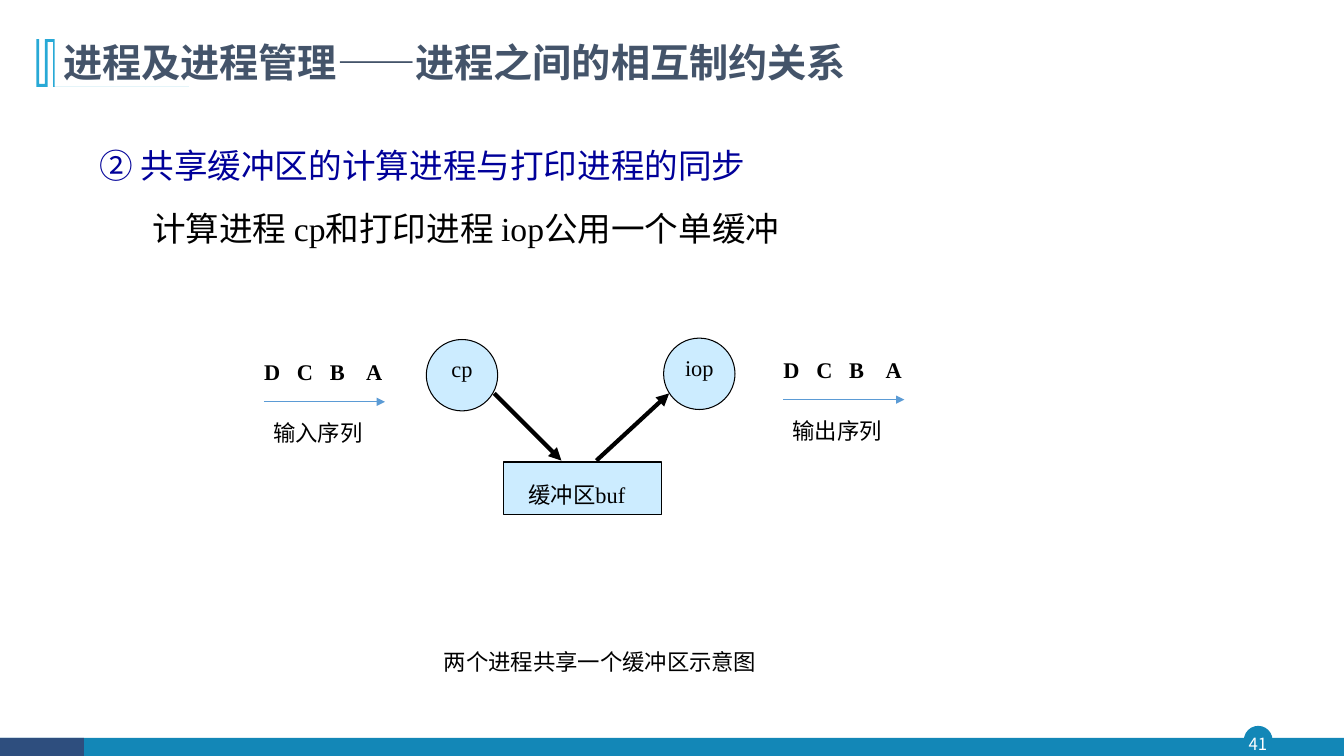
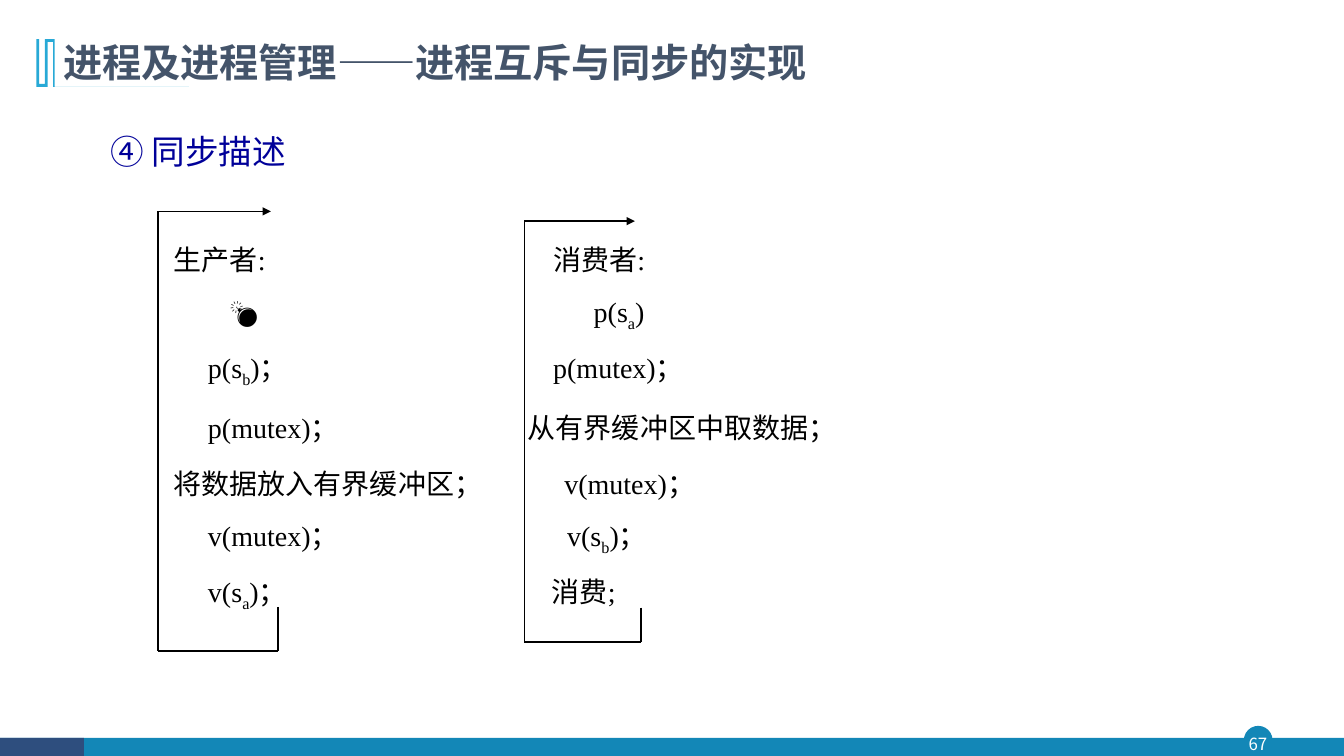
from lxml import etree
from pptx import Presentation
from pptx.dml.color import RGBColor
from pptx.enum.shapes import MSO_CONNECTOR, MSO_SHAPE
from pptx.enum.text import MSO_ANCHOR, PP_ALIGN
from pptx.oxml.ns import qn
from pptx.util import Pt

RECT, OVAL = MSO_SHAPE.RECTANGLE, MSO_SHAPE.OVAL
STRAIGHT = MSO_CONNECTOR.STRAIGHT
LEFT, CENTER = PP_ALIGN.LEFT, PP_ALIGN.CENTER
TOP, MIDDLE = MSO_ANCHOR.TOP, MSO_ANCHOR.MIDDLE

SANS, SERIF = "Noto Sans CJK SC", "Times New Roman"
TEAL, NAVY, CYAN = "1387B7", "2E4E7E", "28A9D6"
TITLE, HEADING, BLACK, WHITE = "44546A", "000099", "000000", "FFFFFF"
NODE, FLOW = "CCECFF", "5B9BD5"
INSETS = (7.2, 3.6, 7.2, 3.6)

ACCENT = [(39, 28), (39, 61.5), (135, 61.5), (135, 62.5), (37.5, 62.5),
          (37.5, 29.5), (34, 29.5), (34, 62.5), (26, 62.5), (26, 28),
          (28, 28), (28, 60.5), (31.5, 60.5), (31.5, 28)]

SHARING = {
    "title": "进程及进程管理——进程之间的相互制约关系",
    "number": "41",
    "heading": "② 共享缓冲区的计算进程与打印进程的同步",
    "body": "计算进程 cp和打印进程 iop公用一个单缓冲",
    "caption": "两个进程共享一个缓冲区示意图",
    "processes": [("iop", 474, 241.5), ("cp", 304.5, 242.5)],
    "buffer": "缓冲区buf",
    "arrows": [[(353, 281), (401, 329)], [(426, 329), (478, 281)]],
    "letters": "DCBA",
    "sequences": [("输入序列", 181.5, 251.5), ("输出序列", 552.5, 250)],
}
LETTER_STOPS = [23.5, 47, 73]

SYNC = {
    "title": "进程及进程管理——进程互斥与同步的实现",
    "number": "67",
    "heading": "④ 同步描述",
    "rows": [
        (45, "生产者:", 316, "消费者:"),
        (85, "💣", 345, "p(s|a|)"),
        (69.5, "p(s|b|)；", 316, "p(mutex)；"),
        (69.5, "p(mutex)；", 298, "从有界缓冲区中取数据；"),
        (45, "将数据放入有界缓冲区；", 324, "v(mutex)；"),
        (69.5, "v(mutex)；", 326, "v(s|b|)；"),
        (69.5, "v(s|a|)；", 315, "消费;"),
    ],
    "loops": [
        [(198.5, 433.5), (198.5, 465), (113, 465), (113, 151), (193.5, 151)],
        [(458, 434), (458, 458.5), (374.5, 458.5), (374.5, 158), (453.5, 158)],
    ],
}


def rgb(color):
    return RGBColor.from_string(color)


def add_run(p, text, size, color, font, bold=False, sub=False):
    r = p.add_run()
    r.text = text
    r.font.size = Pt(size)
    r.font.name = font
    r.font.bold = bold
    r.font.color.rgb = rgb(color)
    rPr = r.font._element
    etree.SubElement(rPr, qn("a:ea")).set("typeface", SANS)
    if sub:
        rPr.set("baseline", "-25000")


def add_paragraph(tf, text, size, line, color=BLACK, font=SERIF, bold=False,
                  align=LEFT, stops=(), first=True):
    p = tf.paragraphs[0] if first else tf.add_paragraph()
    p.alignment = align
    p.line_spacing = Pt(line)
    if stops:
        tabs = etree.SubElement(p._p.get_or_add_pPr(), qn("a:tabLst"))
        for stop in stops:
            tab = etree.SubElement(tabs, qn("a:tab"))
            tab.set("pos", str(int(Pt(stop))))
            tab.set("algn", "l")
    for i, part in enumerate(text.split("|")):
        if part:
            add_run(p, part, size, color, font, bold, sub=i % 2 == 1)


def set_frame(sp, insets=INSETS, anchor=TOP):
    tf = sp.text_frame
    tf.word_wrap = True
    tf.vertical_anchor = anchor
    tf.margin_left, tf.margin_top, tf.margin_right, tf.margin_bottom = map(Pt, insets)
    return tf


def add_box(s, x, y, w, h, insets=INSETS, anchor=TOP):
    return set_frame(s.shapes.add_textbox(Pt(x), Pt(y), Pt(w), Pt(h)), insets, anchor)


def add_label(s, x, y, w, h, text, size, line, **style):
    add_paragraph(add_box(s, x, y, w, h), text, size, line, **style)


def paint(sp, fill, line=None, width=0.75):
    sp.shadow.inherit = False
    sp.fill.solid()
    sp.fill.fore_color.rgb = rgb(fill)
    if line:
        sp.line.color.rgb = rgb(line)
        sp.line.width = Pt(width)
    else:
        sp.line.fill.background()
    return sp


def add_shape(s, kind, x, y, w, h, fill, line=None, width=0.75):
    return paint(s.shapes.add_shape(kind, Pt(x), Pt(y), Pt(w), Pt(h)), fill, line, width)


def add_line(s, start, end, color, width, arrow=False):
    c = s.shapes.add_connector(STRAIGHT, *map(Pt, start + end))
    c.line.color.rgb = rgb(color)
    c.line.width = Pt(width)
    if arrow:
        etree.SubElement(c.line._get_or_add_ln(), qn("a:tailEnd")).set("type", "triangle")
    etree.SubElement(c._element.spPr, qn("a:effectLst"))


def add_slide(prs, content):
    s = prs.slides.add_slide(prs.slide_layouts[6])
    add_shape(s, OVAL, 889, 519, 19.5, 19.5, TEAL, TEAL, 1)
    add_shape(s, RECT, 0, 527, 960, 13, TEAL)
    add_shape(s, RECT, 0, 527, 60, 13, NAVY)
    tf = add_box(s, 887, 519, 23, 22.5, (0, 0, 0, 0), MIDDLE)
    add_paragraph(tf, content["number"], 12, 16, WHITE, SANS, align=CENTER)
    outline = s.shapes.build_freeform(*ACCENT[0], scale=float(Pt(1)))
    outline.add_line_segments(ACCENT[1:])
    paint(outline.convert_to_shape(), CYAN)
    add_label(s, 38, 21.5, 755, 43, content["title"], 28, 36,
              color=TITLE, font=SANS, bold=True)
    return s


def build_sharing(prs):
    s = add_slide(prs, SHARING)
    add_label(s, 64, 84, 565, 52, SHARING["heading"], 24, 45, color=HEADING)
    add_label(s, 101.5, 129, 527, 52, SHARING["body"], 24, 45)

    sp = add_shape(s, RECT, 359.5, 330, 113, 37.5, NODE, BLACK)
    add_paragraph(set_frame(sp, (18, 13, 0, 0)), SHARING["buffer"], 16, 20)
    for name, x, y in SHARING["processes"]:
        sp = add_shape(s, OVAL, x, y, 51, 51, NODE, BLACK)
        add_paragraph(set_frame(sp, (0, 3, 0, 0)), name, 16, 20, align=CENTER)
    for start, end in SHARING["arrows"]:
        add_line(s, start, end, BLACK, 3, arrow=True)

    for name, x, y in SHARING["sequences"]:
        add_label(s, x, y, 104.5, 27, "\t".join(SHARING["letters"]), 16, 20,
                  bold=True, stops=LETTER_STOPS)
        add_line(s, (x + 7, y + 35.5), (x + 93.5, y + 35.5), FLOW, 0.5, arrow=True)
        add_label(s, x + 6.5, y + 43.5, 86.5, 27, name, 16, 20)
    add_label(s, 310, 454.5, 243, 30, SHARING["caption"], 16, 24)


def build_sync(prs):
    s = add_slide(prs, SYNC)
    add_label(s, 72, 74, 570, 52, SYNC["heading"], 24, 45, color=HEADING)
    tf = add_box(s, 72, 154, 570, 287)
    for i, (x1, producer, x2, consumer) in enumerate(SYNC["rows"]):
        add_paragraph(tf, f"\t{producer}\t{consumer}", 20, 40,
                      stops=(x1, x2), first=i == 0)
    for loop in SYNC["loops"]:
        for start, end in zip(loop, loop[1:]):
            add_line(s, start, end, BLACK, 1, arrow=end == loop[-1])


def main():
    prs = Presentation()
    prs.slide_width, prs.slide_height = Pt(960), Pt(540)
    build_sharing(prs)
    build_sync(prs)
    prs.save("out.pptx")


if __name__ == "__main__":
    main()
